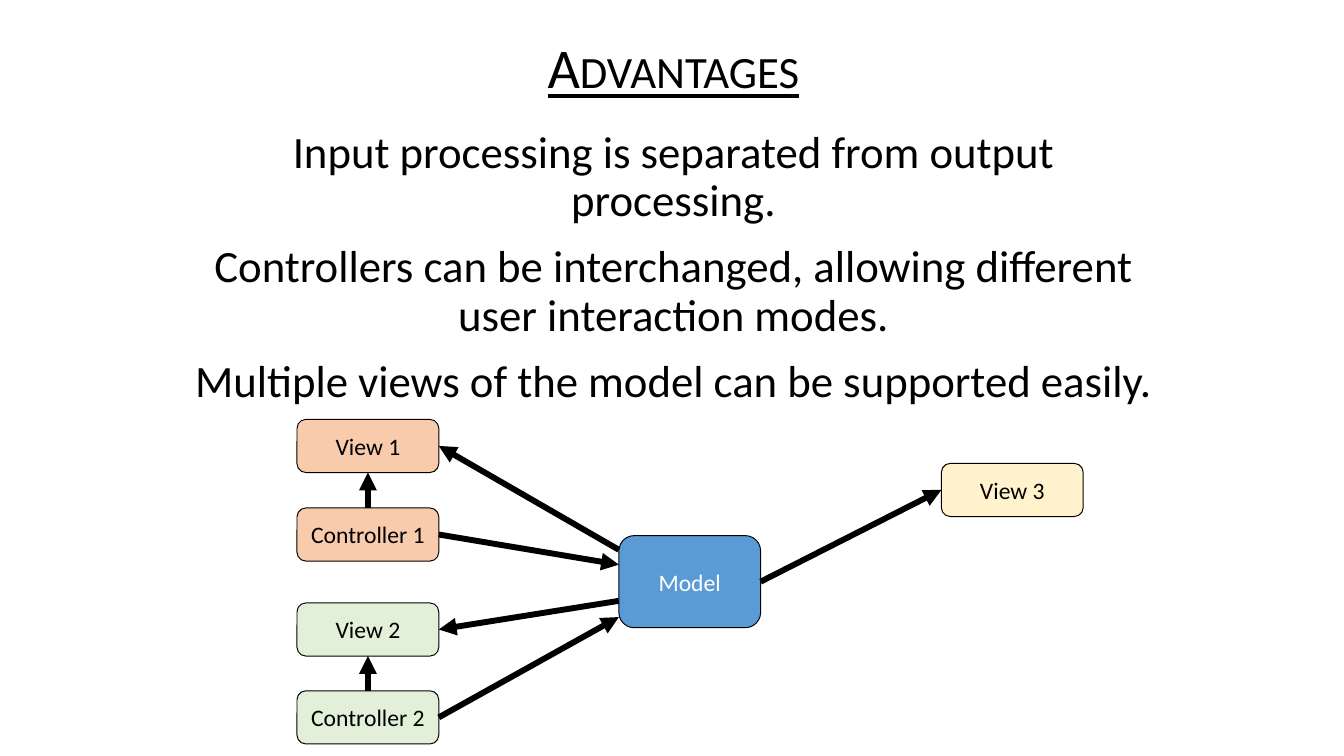
"""Build the slide on the advantages of separating model, views and controllers."""
import pptx
import pptx.dml.color
import pptx.enum.shapes
import pptx.enum.text
import pptx.oxml.ns
import pptx.util
import lxml.etree

Pt = pptx.util.Pt
RGBColor = pptx.dml.color.RGBColor
BLACK = RGBColor(0x00, 0x00, 0x00)
WHITE = RGBColor(0xFF, 0xFF, 0xFF)
BLUE = RGBColor(0x5B, 0x9B, 0xD5)
ORANGE = RGBColor(0xF8, 0xCB, 0xAD)
GREEN = RGBColor(0xE2, 0xF0, 0xD9)
YELLOW = RGBColor(0xFF, 0xF2, 0xCC)

TOP, LEFT, BOTTOM, RIGHT = range(4)
BOX_WIDTH, BOX_HEIGHT, MODEL_HEIGHT = 144, 54, 93.6
COLUMN_LEFT, MODEL_LEFT, MODEL_TOP = 301.7, 628.6, 544.3

HEADING = {"name": "Calibri", "size": Pt(56.9), "underline": True, "bold": False}
STATEMENT = {"name": "Calibri", "size": Pt(45.5)}
LABEL = {"name": "Calibri", "size": Pt(24)}
FRAME = {"margin_left": 0, "margin_right": 0, "margin_top": 0, "margin_bottom": 0,
         "word_wrap": True, "auto_size": pptx.enum.text.MSO_AUTO_SIZE.NONE}
CENTRED = pptx.enum.text.PP_ALIGN.CENTER


def write(frame, lines, font_format, color, paragraph_format):
    for key, value in FRAME.items():
        setattr(frame, key, value)
    for number, line in enumerate(lines):
        paragraph = frame.add_paragraph() if number else frame.paragraphs[0]
        for key, value in paragraph_format.items():
            setattr(paragraph, key, value)
        paragraph.space_before = Pt(18) if number else Pt(0)
        run = paragraph.add_run()
        run.text = line
        for key, value in font_format.items():
            setattr(run.font, key, value)
        run.font.color.rgb = color


def draw_box(label, left, top, height, fill, color):
    box = slide.shapes.add_shape(
        pptx.enum.shapes.MSO_SHAPE.ROUNDED_RECTANGLE,
        Pt(left), Pt(top), Pt(BOX_WIDTH), Pt(height))
    box.shadow.inherit = False
    box.fill.solid()
    box.fill.fore_color.rgb = fill
    box.line.color.rgb = BLACK
    box.line.width = Pt(1)
    write(box.text_frame, [label], LABEL, color, {"alignment": CENTRED})
    box.text_frame.vertical_anchor = pptx.enum.text.MSO_ANCHOR.MIDDLE
    return box


presentation = pptx.Presentation()
presentation.slide_width = Pt(1365.12)
presentation.slide_height = Pt(768.24)
slide = presentation.slides.add_slide(presentation.slide_layouts[1])

heading, statements = slide.placeholders
for part, top, height in [(heading, 41, 70), (statements, 132, 290)]:
    part.left, part.top, part.width, part.height = Pt(194), Pt(top), Pt(980), Pt(height)
    part.text_frame.vertical_anchor = pptx.enum.text.MSO_ANCHOR.TOP

spacing = {"alignment": CENTRED, "line_spacing": 0.9, "space_after": Pt(0)}
write(heading.text_frame, ["Advantages"], HEADING, BLACK, spacing)
heading.text_frame.paragraphs[0].runs[0]._r.get_or_add_rPr().set("cap", "small")

write(statements.text_frame, [
    "Input processing is separated from output processing.",
    "Controllers can be interchanged, allowing different user interaction modes.",
    "Multiple views of the model can be supported easily.",
], STATEMENT, BLACK, spacing)
for paragraph in statements.text_frame.paragraphs:
    properties = paragraph._p.get_or_add_pPr()
    properties.set("marL", "0")
    properties.set("indent", "0")
    lxml.etree.SubElement(properties, pptx.oxml.ns.qn("a:buNone"))

model = draw_box("Model", MODEL_LEFT, MODEL_TOP, MODEL_HEIGHT, BLUE, WHITE)
boxes = {}
for label, left, top, fill in [
    ("View 1", COLUMN_LEFT, 426.2, ORANGE),
    ("Controller 1", COLUMN_LEFT, 516.2, ORANGE),
    ("View 2", COLUMN_LEFT, 612.7, GREEN),
    ("Controller 2", COLUMN_LEFT, 702, GREEN),
    ("View 3", 956.2, 470.9, YELLOW),
]:
    boxes[label] = draw_box(label, left, top, BOX_HEIGHT, fill, BLACK)

for start, end, model_y in [
    ((model, RIGHT), (boxes["View 3"], LEFT), None),
    (None, (boxes["View 1"], RIGHT), 558.7),
    ((boxes["Controller 1"], RIGHT), None, 573.8),
    ((boxes["Controller 2"], RIGHT), None, 627.1),
    (None, (boxes["View 2"], RIGHT), 610.6),
    ((boxes["Controller 2"], TOP), (boxes["View 2"], BOTTOM), None),
    ((boxes["Controller 1"], TOP), (boxes["View 1"], BOTTOM), None),
]:
    model_side = Pt(MODEL_LEFT), Pt(model_y or MODEL_TOP)
    arrow = slide.shapes.add_connector(
        pptx.enum.shapes.MSO_CONNECTOR.STRAIGHT, *model_side, *model_side)
    if start:
        arrow.begin_connect(*start)
    if end:
        arrow.end_connect(*end)
    arrow.line.color.rgb = BLACK
    arrow.line.width = Pt(6)
    lxml.etree.SubElement(
        arrow.line._get_or_add_ln(), pptx.oxml.ns.qn("a:tailEnd"), type="triangle")
    lxml.etree.SubElement(arrow._element.spPr, pptx.oxml.ns.qn("a:effectLst"))

presentation.save("out.pptx")
